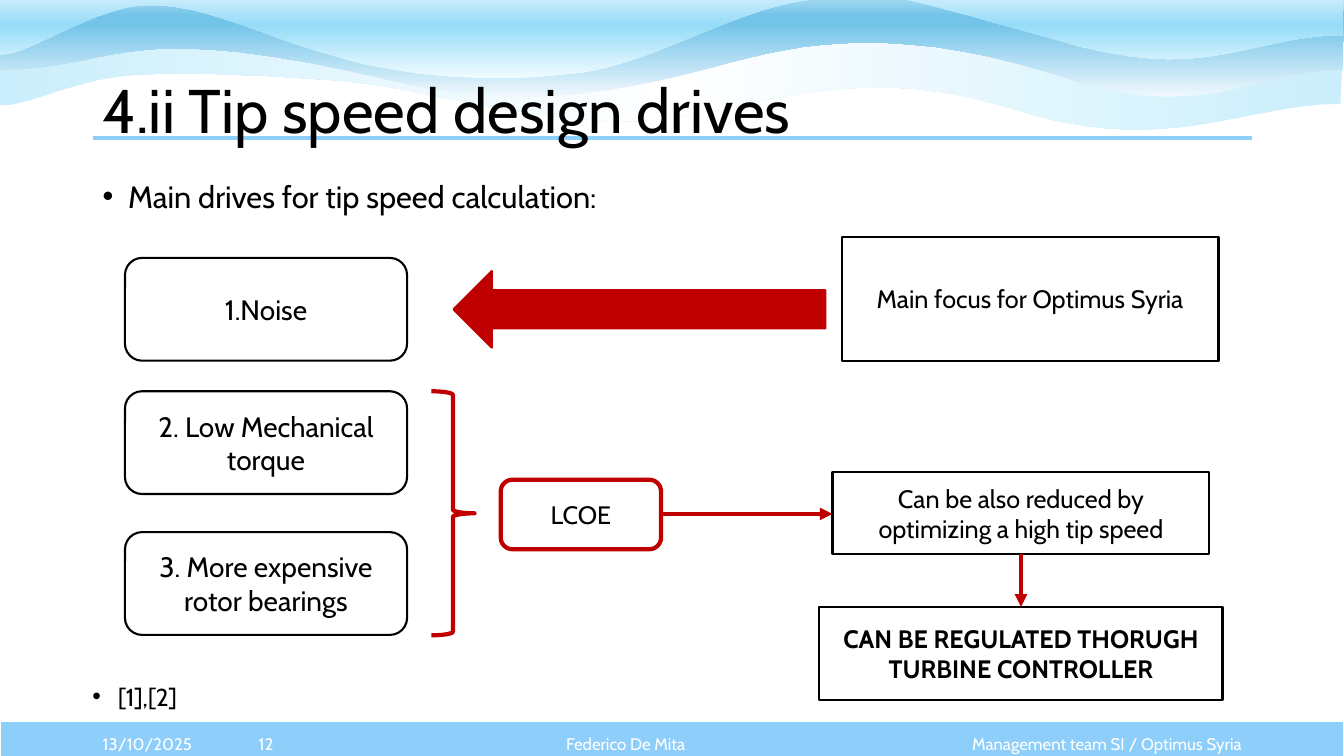
from lxml.etree import SubElement
from pptx import Presentation
from pptx.dml.color import RGBColor
from pptx.enum.shapes import MSO_CONNECTOR, MSO_SHAPE
from pptx.enum.text import MSO_ANCHOR, MSO_AUTO_SIZE, PP_ALIGN
from pptx.oxml.ns import qn
from pptx.util import Cm, Pt

HUES = {"black": "000000", "white": "FFFFFF", "red": "C00000", "sky": "8ECEFA"}
FONT = "Cabin"
STEPS = 16
WAVES = [
    {
        "top": 76, "angle": 0,
        "stops": [(0, "CAEEFB"), (50, "FFFFFF"), (100, "CAEEFB")],
        "start": (3378, 262),
        "curves": [
            (3142, 259, 2926, 404, 2537, 269), (2101, 137, 1831, 315, 1549, 305),
            (1267, 295, 1069, 221, 851, 203), (632, 188, 465, 180, 323, 190),
            (180, 201, 36, 282, -5, 262),
        ],
    },
    {
        "top": -3, "angle": 270,
        "stops": [(0, "F0F8FD"), (74, "74C4E9"), (83, "74C4E9"), (100, "A2D8F0")],
        "start": (3383, 175),
        "curves": [
            (3147, 175, 3038, 323, 2652, 185), (2212, 48, 1963, 124, 1793, 170),
            (1341, 290, 1166, 246, 879, 178), (287, 53, 292, 175, 0, 175),
        ],
    },
    {
        "top": -71, "angle": 270,
        "stops": [(0, "EFFCFF"), (50, "96DCF8"), (100, "FFFFFF")],
        "start": (3383, 89),
        "curves": [
            (3147, 89, 3038, 218, 2652, 97), (2215, -23, 2263, -18, 2065, -3),
            (1867, 10, 1659, 157, 1463, 183), (1265, 208, 1077, 201, 881, 152),
            (655, 91, 526, 13, 381, 13), (234, 10, 56, 155, -8, 135),
        ],
    },
]


def tint(name):
    return RGBColor.from_string(HUES[name])


def write(frame, text, size, color="black", align=PP_ALIGN.LEFT,
          anchor=MSO_ANCHOR.MIDDLE, bold=False, space=1.0, bullet=False):
    frame.word_wrap = True
    frame.auto_size = MSO_AUTO_SIZE.NONE
    frame.vertical_anchor = anchor
    para = frame.paragraphs[0]
    para.alignment = align
    para.line_spacing = space
    if bullet:
        props = para._p.get_or_add_pPr()
        props.set("marL", str(Cm(0.64)))
        props.set("indent", str(-Cm(0.64)))
        SubElement(props, qn("a:buFont")).set("typeface", "Arial")
        SubElement(props, qn("a:buChar")).set("char", "•")
    run = para.add_run()
    run.text = text
    run.font.name = FONT
    run.font.size = Pt(size)
    run.font.bold = bold
    run.font.color.rgb = tint(color)


def label(slide, box, text, size, **style):
    area = slide.shapes.add_textbox(*map(Cm, box))
    write(area.text_frame, text, size, **style)


def block(slide, kind, box, fill="white", line="black", width=1.5):
    shape = slide.shapes.add_shape(kind, *map(Cm, box))
    shape.shadow.inherit = False
    if fill:
        shape.fill.solid()
        shape.fill.fore_color.rgb = tint(fill)
    else:
        shape.fill.background()
    shape.line.color.rgb = tint(line)
    shape.line.width = Pt(width)
    return shape


def card(slide, kind, box, text, size, bold=False, **style):
    shape = block(slide, kind, box, **style)
    write(shape.text_frame, text, size, align=PP_ALIGN.CENTER, bold=bold)


def link(slide, start, end, color, arrow=True):
    line = slide.shapes.add_connector(MSO_CONNECTOR.STRAIGHT, *map(Cm, start + end))
    line.line.color.rgb = tint(color)
    line.line.width = Pt(3)
    if arrow:
        SubElement(line.line._get_or_add_ln(), qn("a:tailEnd")).set("type", "triangle")
    SubElement(line.element.spPr, qn("a:effectLst"))


def trace(start, curves):
    points = []
    for ax, ay, bx, by, cx, cy in curves:
        for step in range(1, STEPS + 1):
            t = step / STEPS
            u = 1 - t
            parts = (u ** 3, 3 * u * u * t, 3 * u * t * t, t ** 3)
            points.append(tuple(
                round(sum(p * v for p, v in zip(parts, axis)))
                for axis in ((start[0], ax, bx, cx), (start[1], ay, by, cy))
            ))
        start = (cx, cy)
    return points


def blend(shape, stops, angle):
    shape.fill.gradient()
    grad = shape.element.spPr.find(qn("a:gradFill"))
    for child in list(grad):
        grad.remove(child)
    group = SubElement(grad, qn("a:gsLst"))
    for place, color in stops:
        stop = SubElement(group, qn("a:gs"))
        stop.set("pos", str(place * 1000))
        SubElement(stop, qn("a:srgbClr")).set("val", color)
    SubElement(grad, qn("a:lin")).set("ang", str(angle * 60000))


def banner(slide, box):
    left, top, width, _ = box
    for wave in WAVES:
        pen = slide.shapes.build_freeform(*wave["start"], scale=Cm(0.01))
        edge = trace(wave["start"], wave["curves"])
        roof = [(0, wave["top"]), (round(width * 100), wave["top"])]
        pen.add_line_segments(edge + roof, close=True)
        shape = pen.convert_to_shape(Cm(left), Cm(top))
        shape.shadow.inherit = False
        shape.line.fill.background()
        blend(shape, wave["stops"], wave["angle"])


def header(slide, box, text):
    left, top, width, height = box
    link(slide, (left, top + 2.46), (left + width, top + 2.46), "sky", arrow=False)
    title = slide.shapes.title
    title.left, title.top, title.width, title.height = map(Cm, box)
    write(title.text_frame, text, 44, space=0.9)
    slide.shapes.element.append(title.element)


def causes(slide, box):
    left, top, width, height = box
    texts = ["1.Noise", "2. Low Mechanical torque", "3. More expensive rotor bearings"]
    for text, drop in zip(texts, (0, 3.36, 6.91)):
        card(slide, MSO_SHAPE.ROUNDED_RECTANGLE, (left, top + drop, width, 2.59), text, 20)
    block(slide, MSO_SHAPE.RIGHT_BRACE, (left + 7.72, top + 3.36, 1.09, height - 3.36),
          fill=None, line="red", width=3)


def effects(slide, box):
    left, top, width, height = box
    block(slide, MSO_SHAPE.LEFT_ARROW, (left, top + 0.86, 9.37, 1.93), fill="red", line="red")
    card(slide, MSO_SHAPE.RECTANGLE, (left + 9.78, top, 9.5, 3.12),
         "Main focus for Optimus Syria", 18)
    card(slide, MSO_SHAPE.ROUNDED_RECTANGLE, (left + 1.19, top + 6.12, 4.04, 1.75),
         "LCOE", 18, line="red", width=3)
    card(slide, MSO_SHAPE.RECTANGLE, (left + 9.55, top + 5.92, 9.5, 2.08),
         "Can be also reduced by optimizing a high tip speed", 18)
    card(slide, MSO_SHAPE.RECTANGLE, (left + width - 10.16, top + height - 2.36, 10.16, 2.36),
         "CAN BE REGULATED THORUGH TURBINE CONTROLLER", 18, bold=True)
    link(slide, (left + 5.23, top + 6.98), (left + 9.55, top + 6.98), "red")
    link(slide, (left + 14.3, top + 8), (left + 14.3, top + height - 2.36), "red")


def footer(slide, box):
    left, top, width, height = box
    block(slide, MSO_SHAPE.RECTANGLE, box, fill="sky", line="white")
    items = [
        (2.34, 3.1, "13/10/2025", PP_ALIGN.LEFT),
        (5.41, 2.59, "12", PP_ALIGN.CENTER),
        (8, 15.54, "Federico De Mita", PP_ALIGN.CENTER),
        (23.55, 8, "Management team SI / Optimus Syria", PP_ALIGN.RIGHT),
    ]
    for shift, span, text, align in items:
        label(slide, (left + shift, top + 0.08, span, height), text, 12,
              color="white", align=align)


def main():
    deck = Presentation()
    deck.slide_width, deck.slide_height = Cm(33.87), Cm(19.05)
    slide = deck.slides.add_slide(deck.slide_layouts[5])
    banner(slide, (0, 0, 33.87, 3.25))
    header(slide, (2.34, 1.02, 29.21, 3.68), "4.ii Tip speed design drives")
    label(slide, (2.34, 4.45, 29.21, 1.5), "Main drives for tip speed calculation:", 22,
          anchor=MSO_ANCHOR.TOP, space=0.9, bullet=True)
    causes(slide, (3.15, 6.5, 7.11, 9.51))
    effects(slide, (11.43, 5.97, 19.38, 11.68))
    label(slide, (2.08, 17.27, 6.25, 0.86), "[1],[2]", 17.5,
          anchor=MSO_ANCHOR.TOP, space=0.7, bullet=True)
    footer(slide, (0, 18.16, 33.87, 1.02))
    deck.save("out.pptx")


if __name__ == "__main__":
    main()
